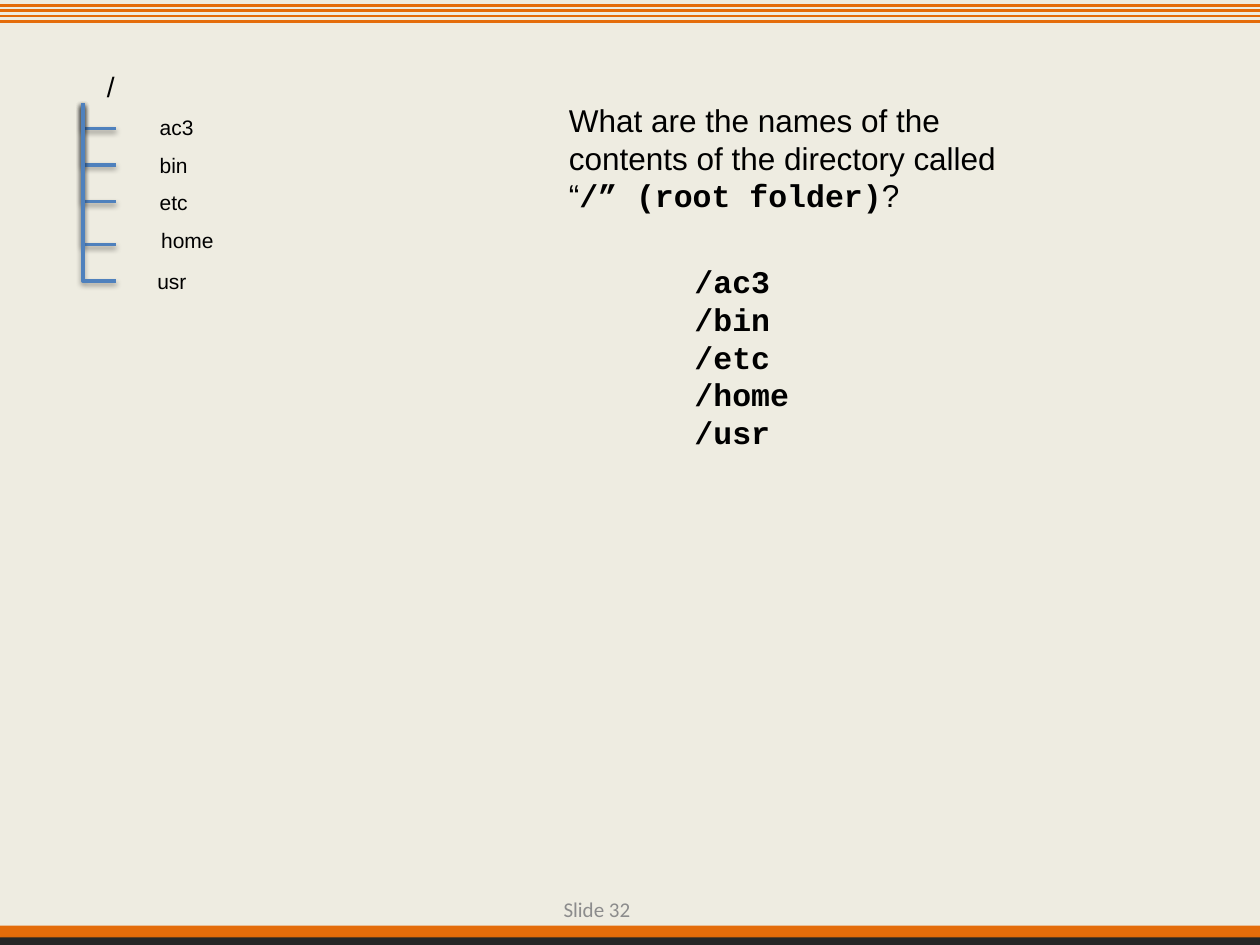
from pptx import Presentation
from pptx.dml.color import RGBColor
from pptx.enum.shapes import MSO_CONNECTOR, MSO_SHAPE
from pptx.enum.text import MSO_ANCHOR, MSO_AUTO_SIZE, PP_ALIGN
from pptx.oxml import parse_xml
from pptx.oxml.ns import nsdecls, qn
from pptx.util import Pt

ORANGE, DARK, BLUE = "E46C0A", "262626", "4F81BD"
BLACK, GRAY, CREAM = "000000", "8C8C8C", "EEECE1"
SANS = {"name": "Arial", "bold": False}
CODE = {"name": "Courier New", "bold": True}


def tint(code):
    return RGBColor.from_string(code)


def apply(item, style):
    for name, value in style.items():
        setattr(item, name, value)


class Deck:
    def __init__(self, wide, high):
        self.file = Presentation()
        apply(self.file, {"slide_width": Pt(wide), "slide_height": Pt(high)})
        self.slide = self.file.slides.add_slide(self.file.slide_layouts[6])
        self.all = self.slide.shapes
        fill = self.slide.background.fill
        fill.solid()
        fill.fore_color.rgb = tint(CREAM)

    def shade(self, item, dist=None, alpha=0):
        """Set a soft drop shadow, or none when no distance is given."""
        inner = ""
        if dist:
            inner = (f'<a:outerShdw blurRad="{Pt(3.15)}" dist="{Pt(dist)}" '
                     f'dir="5400000" rotWithShape="0"><a:srgbClr val="{BLACK}">'
                     f'<a:alpha val="{alpha * 1000}"/></a:srgbClr></a:outerShdw>')
        item._element.spPr.append(parse_xml(
            f'<a:effectLst {nsdecls("a")}>{inner}</a:effectLst>'))

    def bar(self, top, high, color, **shadow):
        box = self.all.add_shape(MSO_SHAPE.RECTANGLE, 0, Pt(top), Pt(720), Pt(high))
        box.fill.solid()
        box.fill.fore_color.rgb = tint(color)
        box.line.fill.background()
        self.shade(box, **shadow)

    def line(self, kind, ends, color, width, **shadow):
        link = self.all.add_connector(kind, *map(Pt, ends))
        link.line.color.rgb = tint(color)
        link.line.width = Pt(width)
        self.shade(link, **shadow)
        return link

    def branch(self, left, top, right, low):
        """Draw an elbow that goes down from the trunk and then right."""
        drop, run = low - top, right - left
        mid_x, mid_y = (left + right) / 2, (top + low) / 2
        ends = (mid_x + drop / 2, mid_y - run / 2,
                mid_x - drop / 2, mid_y + run / 2)
        link = self.line(MSO_CONNECTOR.ELBOW, ends, BLUE, 2, dist=1.57, alpha=38)
        props = link._element.spPr
        props.find(qn("a:xfrm")).set("rot", "16200000")
        props.find(qn("a:prstGeom")).set("prst", "bentConnector2")

    def text(self, place, paras, size, color=BLACK, align=PP_ALIGN.LEFT, **frame):
        """Each paragraph is a list of (words, font style) pairs."""
        body = self.all.add_textbox(*map(Pt, place)).text_frame
        apply(body, {"word_wrap": False, "auto_size": MSO_AUTO_SIZE.SHAPE_TO_FIT_TEXT}
              | frame)
        for num, runs in enumerate(paras):
            para = body.add_paragraph() if num else body.paragraphs[0]
            para.alignment = align
            for words, style in runs:
                run = para.add_run()
                run.text = words
                apply(run.font, {"size": Pt(size)} | style)
                run.font.color.rgb = tint(color)


def main():
    deck = Deck(720, 540)

    # Top stripes and bottom bars
    for num in range(4):
        y = 3 + 3.1 * num
        deck.line(MSO_CONNECTOR.STRAIGHT, (0, y, 720, y), ORANGE, 1.5)
    deck.bar(529, 11, ORANGE)
    deck.bar(535.7, 4.3, DARK, dist=1.8, alpha=35)

    # Folder tree: name, label left, top and width, branch height
    deck.text((54, 36, 18.7, 26.6), [[("/", SANS)]], 16)
    tree = [
        ("ac3", 84.2, 62, 33.8, 73.4),
        ("bin", 84.2, 83.5, 31, 94.2),
        ("etc", 84.2, 105, 31, 115.2),
        ("home", 85, 126.5, 44.6, 139.8),
        ("usr", 82.8, 150, 46.8, 160.6),
    ]
    for name, left, top, wide, low in tree:
        deck.branch(47.5, 59, 66.2, low)
        deck.text((left, top, wide, 21.6), [[(name, SANS)]], 12)

    # Question and answer
    ask = [("What are the names of the contents of the directory called “", SANS),
           ("/” (root folder)", CODE), ("?", SANS)]
    deck.text((318, 54, 264.2, 72.7), [ask], 18, word_wrap=True)
    deck.text((389.8, 146.2, 69, 116.6),
              [[("/" + row[0], CODE)] for row in tree], 18)

    # Slide number
    deck.text((296, 498.2, 71.3, 28.8), [[("Slide 32", {"name": "Calibri"})]], 12,
              GRAY, PP_ALIGN.RIGHT, word_wrap=True, auto_size=MSO_AUTO_SIZE.NONE,
              vertical_anchor=MSO_ANCHOR.BOTTOM, margin_bottom=0)

    deck.file.save("out.pptx")


if __name__ == "__main__":
    main()
